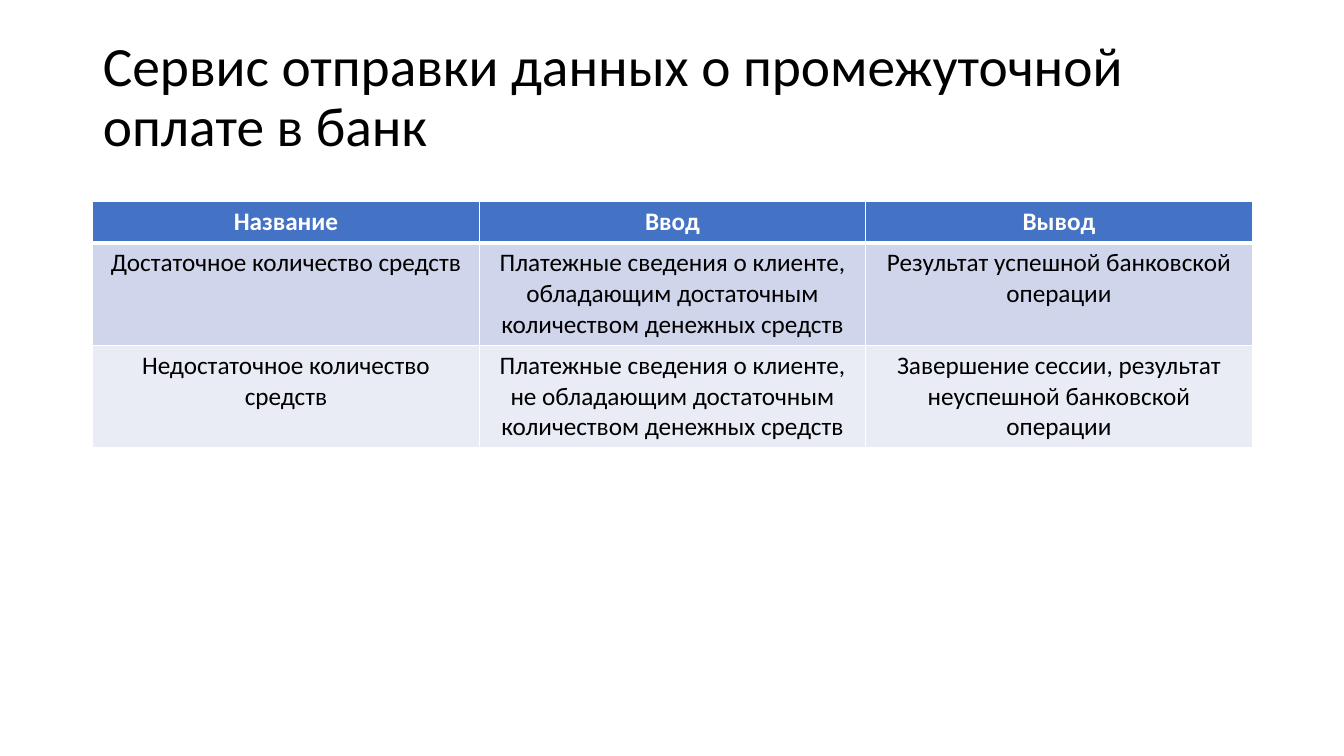
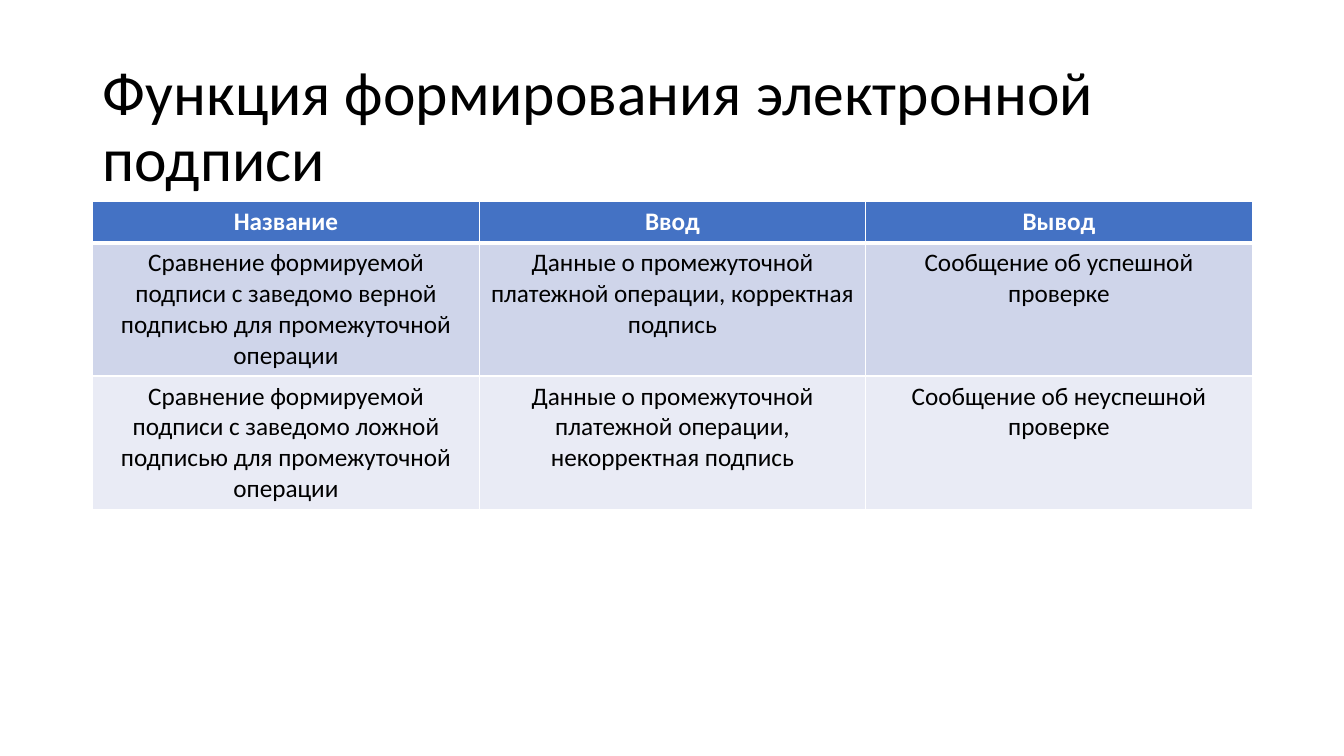
"""Build two slides of test cases, each a title above a three-column table."""
from lxml import etree
from pptx import Presentation
from pptx.dml.color import RGBColor
from pptx.enum.text import MSO_ANCHOR, MSO_AUTO_SIZE, PP_ALIGN
from pptx.oxml.ns import qn
from pptx.util import Inches, Pt

LEFT, CENTER = PP_ALIGN.LEFT, PP_ALIGN.CENTER
MIDDLE, NOFIT = MSO_ANCHOR.MIDDLE, MSO_AUTO_SIZE.NONE
BLACK = RGBColor(0x00, 0x00, 0x00)
WHITE = RGBColor(0xFF, 0xFF, 0xFF)
BLUE = RGBColor(0x44, 0x72, 0xC4)
DARK = RGBColor(0xCF, 0xD5, 0xEA)
PALE = RGBColor(0xE9, 0xEB, 0xF5)
FONT = "Calibri"
SIDE, WIDTH = Inches(0.92), Inches(11.5)
HEAD = ("Название", "Ввод", "Вывод")
ROW = Inches(0.41)

SLIDES = [
    {
        "title": "Сервис отправки данных о промежуточной оплате в банк",
        "size": 39.6,
        "inset": 0.65,
        "row": 1.0,
        "rows": [
            ("Достаточное количество средств",
             "Платежные сведения о клиенте, обладающим достаточным "
             "количеством денежных средств",
             "Результат успешной банковской операции"),
            ("Недостаточное количество средств",
             "Платежные сведения о клиенте, не обладающим достаточным "
             "количеством денежных средств",
             "Завершение сессии, результат неуспешной банковской операции"),
        ],
    },
    {
        "title": "Функция формирования электронной подписи",
        "size": 44,
        "inset": 0.05,
        "row": 1.3,
        "rows": [
            ("Сравнение формируемой подписи с заведомо верной подписью "
             "для промежуточной операции",
             "Данные о промежуточной платежной операции, корректная подпись",
             "Сообщение об успешной проверке"),
            ("Сравнение формируемой подписи с заведомо ложной подписью "
             "для промежуточной операции",
             "Данные о промежуточной платежной операции, некорректная подпись",
             "Сообщение об неуспешной проверке"),
        ],
    },
]


def assign(item, values):
    """Set every attribute named in values."""
    for name, value in values.items():
        setattr(item, name, value)


def write(frame, text, size, color, bold, align):
    """Put one formatted paragraph into a text frame."""
    para = frame.paragraphs[0]
    para.alignment = align
    run = para.add_run()
    run.text = text
    assign(run.font, {"name": FONT, "size": Pt(size), "bold": bold})
    run.font.color.rgb = color
    return para


def add_title(slide, text, size, inset):
    """Place and fill the title placeholder."""
    title = slide.shapes.title
    assign(title, {"left": SIDE, "top": Inches(0.55),
                   "width": WIDTH, "height": Inches(1.45)})
    frame = title.text_frame
    assign(frame, {"word_wrap": True, "auto_size": NOFIT,
                   "vertical_anchor": MIDDLE,
                   "margin_bottom": Inches(inset)})
    write(frame, text, size, BLACK, False, LEFT).line_spacing = 0.9


def add_edges(cell, widths):
    """Draw white borders of the given point widths around a cell."""
    props = cell._tc.get_or_add_tcPr()
    for spot, (side, width) in enumerate(widths.items()):
        line = etree.Element(qn(f"a:ln{side}"), w=str(Pt(width)))
        fill = etree.SubElement(line, qn("a:solidFill"))
        etree.SubElement(fill, qn("a:srgbClr"), val=str(WHITE))
        props.insert(spot, line)


def add_table(slide, rows, height):
    """Add the header row and the banded body rows."""
    lines = [HEAD, *rows]
    total = ROW + height * len(rows)
    table = slide.shapes.add_table(len(lines), len(HEAD), SIDE, Inches(2),
                                   WIDTH, total).table
    for r, line in enumerate(lines):
        table.rows[r].height = height if r else ROW
        shade = (DARK if r % 2 else PALE) if r else BLUE
        edges = {"L": 1, "R": 1, "T": 3 if r == 1 else 1, "B": 1 if r else 3}
        for c, text in enumerate(line):
            cell = table.cell(r, c)
            cell.fill.solid()
            cell.fill.fore_color.rgb = shade
            add_edges(cell, edges)
            write(cell.text_frame, text, 18, BLACK if r else WHITE,
                  r == 0, CENTER)


def main():
    """Build and save the deck."""
    deck = Presentation()
    assign(deck, {"slide_width": Inches(13.33), "slide_height": Inches(7.5)})
    for data in SLIDES:
        slide = deck.slides.add_slide(deck.slide_layouts[5])
        add_title(slide, data["title"], data["size"], data["inset"])
        add_table(slide, data["rows"], Inches(data["row"]))
    deck.save("out.pptx")


main()
